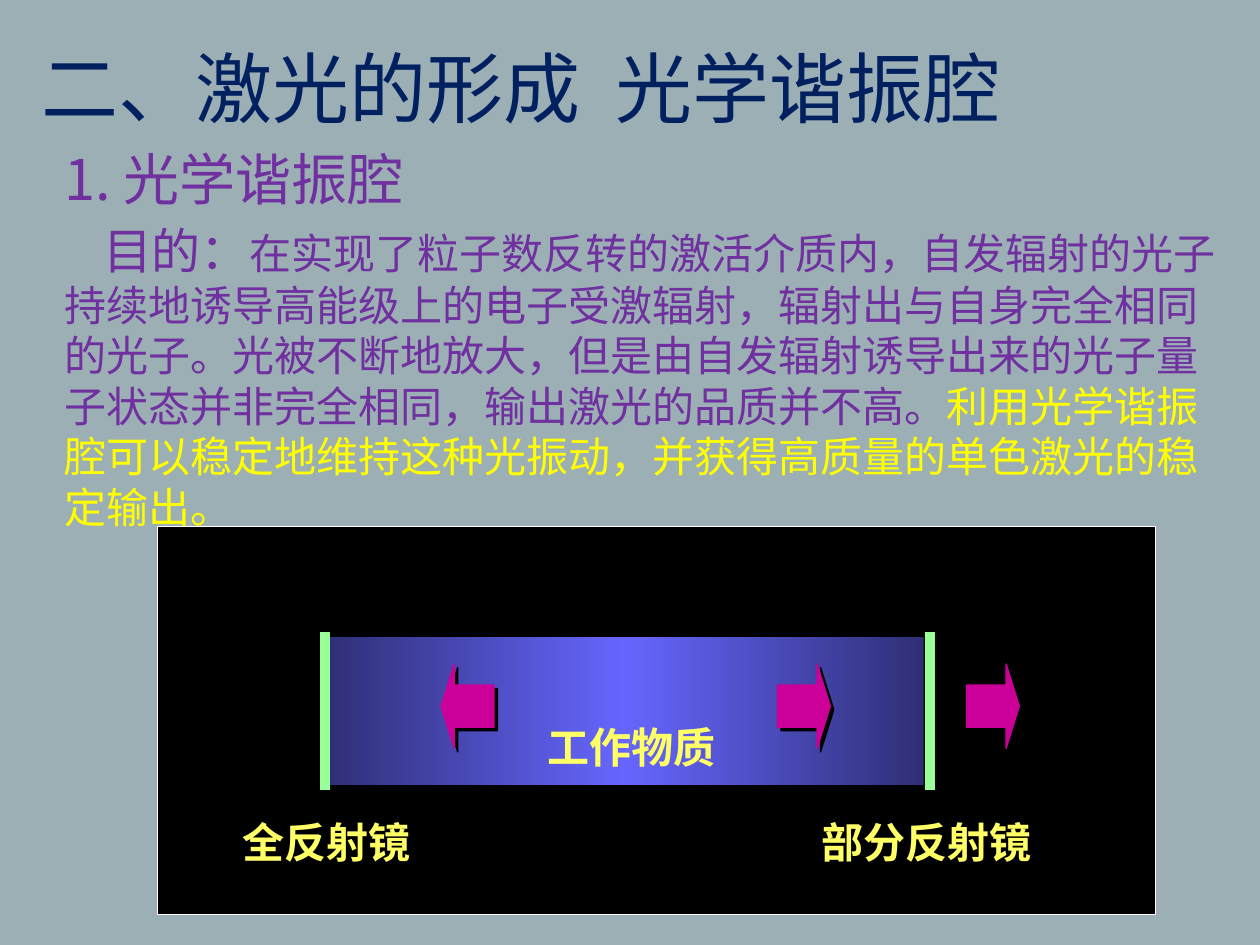
from copy import deepcopy

from lxml.etree import SubElement
from pptx import Presentation
from pptx.dml.color import RGBColor
from pptx.enum.shapes import MSO_CONNECTOR, MSO_SHAPE as SHAPE
from pptx.oxml.ns import qn
from pptx.util import Inches, Pt

BACKGROUND = RGBColor(0x9B, 0xAF, 0xB5)
NAVY = RGBColor(0x00, 0x20, 0x60)
PURPLE = RGBColor(0x70, 0x30, 0xA0)
YELLOW = RGBColor(0xFF, 0xFF, 0x00)
LABEL_YELLOW = RGBColor(0xFF, 0xFF, 0x66)
BLACK = RGBColor(0x00, 0x00, 0x00)
WHITE = RGBColor(0xFF, 0xFF, 0xFF)
EDGE_BLUE = RGBColor(0x2F, 0x2F, 0x76)
MID_BLUE = RGBColor(0x66, 0x66, 0xFF)
MIRROR_GREEN = RGBColor(0x99, 0xFF, 0x99)
MAGENTA = RGBColor(0xCC, 0x00, 0x99)

CJK_FONT = "Noto Sans CJK SC"


def add_run(p, text, size, color, font=CJK_FONT, bold=False):
    r = p.add_run()
    r.text = text
    r.font.size = Pt(size)
    r.font.name = font
    r.font.bold = bold
    r.font.color.rgb = color
    SubElement(r.font._element, qn("a:ea"), typeface=CJK_FONT)


def add_text(slide, box, paragraphs, wrap=True):
    """Each paragraph is a list of (text, format) runs."""
    tf = slide.shapes.add_textbox(*map(Inches, box)).text_frame
    tf.word_wrap = wrap
    for i, runs in enumerate(paragraphs):
        p = tf.add_paragraph() if i else tf.paragraphs[0]
        for text, style in runs:
            add_run(p, text, **style)
    return tf


def add_block(slide, kind, box, fill=None, line=None):
    sp = slide.shapes.add_shape(kind, *map(Inches, box))
    sp.shadow.inherit = False
    if fill is not None:
        sp.fill.solid()
        sp.fill.fore_color.rgb = fill
    if line is None:
        sp.line.fill.background()
    else:
        sp.line.color.rgb = line
        sp.line.width = Pt(0.75)
    return sp


def add_title(slide, box):
    style = dict(size=44, color=NAVY, font="Cabin")
    tf = add_text(slide, box, [[("二、激光的形成\t光学谐振腔", style)]], wrap=False)
    pPr = tf.paragraphs[0]._p.get_or_add_pPr()
    tabs = SubElement(pPr, qn("a:tabLst"))
    SubElement(tabs, qn("a:tab"), pos=str(Inches(4.56)), algn="l")


def add_body(slide, box):
    tf = add_text(slide, box, [
        [("1. 光学谐振腔", dict(size=32, color=PURPLE))],
        [("目的：", dict(size=28, color=PURPLE)),
         ("在实现了粒子数反转的激活介质内，自发辐射的光子持续地诱导高能级上的电子受激辐射，"
          "辐射出与自身完全相同的光子。光被不断地放大，但是由自发辐射诱导出来的光子量子状态"
          "并非完全相同，输出激光的品质并不高。", dict(size=24, color=PURPLE)),
         ("利用光学谐振腔可以稳定地维持这种光振动，并获得高质量的单色激光的稳定输出。",
          dict(size=24, color=YELLOW))],
    ])
    purpose = tf.paragraphs[1]
    purpose.space_before = Pt(5)
    purpose._p.get_or_add_pPr().set("indent", str(Inches(0.31)))


def add_medium(slide, box):
    """Working medium: a bar that is bright in the middle and dark at both ends."""
    sp = add_block(slide, SHAPE.RECTANGLE, box)
    sp.fill.gradient()
    sp.fill.gradient_angle = 0
    for stop in sp.fill.gradient_stops:
        stop.color.rgb = EDGE_BLUE
    first = sp.fill._xPr.find(qn("a:gradFill")).find(qn("a:gsLst"))[0]
    first.addnext(deepcopy(first))
    middle = sp.fill.gradient_stops[1]
    middle.position = 0.5
    middle.color.rgb = MID_BLUE


def add_mirror(slide, x, top, bottom):
    line = slide.shapes.add_connector(
        MSO_CONNECTOR.STRAIGHT, *map(Inches, (x, top, x, bottom)))
    line.line.color.rgb = MIRROR_GREEN
    line.line.width = Pt(6)
    SubElement(line._element.spPr, qn("a:effectLst"))


def add_light_arrow(slide, kind, x, y):
    sp = add_block(slide, kind, (x, y, 0.42, 0.67), MAGENTA, MAGENTA)
    sp.adjustments[0] = 0.5
    sp.adjustments[1] = 0.25
    effects = sp._element.spPr.find(qn("a:effectLst"))
    shadow = SubElement(effects, qn("a:outerShdw"), dist=str(Pt(2.8)),
                        dir="2700000", algn="ctr", rotWithShape="0")
    SubElement(shadow, qn("a:srgbClr"), val=str(BLACK))


def add_resonator(slide, box):
    left, top, width, height = box
    add_block(slide, SHAPE.RECTANGLE, box, BLACK, WHITE)
    add_medium(slide, (left + 1.33, top + 0.88, 4.75, 1.17))
    for dx in (1.33, 6.13):
        add_mirror(slide, left + dx, top + 0.84, top + 2.09)
    label = dict(size=24, color=LABEL_YELLOW, font="Times New Roman", bold=True)
    for text, dx, dy in (("工作物质", 3, 1.5),
                         ("全反射镜", 0.58, 2.25),
                         ("部分反射镜", 5.17, 2.25)):
        add_text(slide, (left + dx, top + dy, 2.17, 0.5), [[(text, label)]])
    for kind, dx in ((SHAPE.RIGHT_ARROW, 4.92),
                     (SHAPE.LEFT_ARROW, 2.25),
                     (SHAPE.RIGHT_ARROW, 6.42)):
        add_light_arrow(slide, kind, left + dx, top + 1.09)


def main():
    prs = Presentation()
    prs.slide_width, prs.slide_height = Inches(10), Inches(7.5)
    s = prs.slides.add_slide(prs.slide_layouts[6])
    s.background.fill.solid()
    s.background.fill.fore_color.rgb = BACKGROUND
    add_title(s, (0.23, 0.27, 7.95, 0.84))
    add_body(s, (0.41, 1.1, 9.49, 3.8))
    add_resonator(s, (1.25, 4.18, 7.92, 3.08))
    prs.save("out.pptx")


if __name__ == "__main__":
    main()
